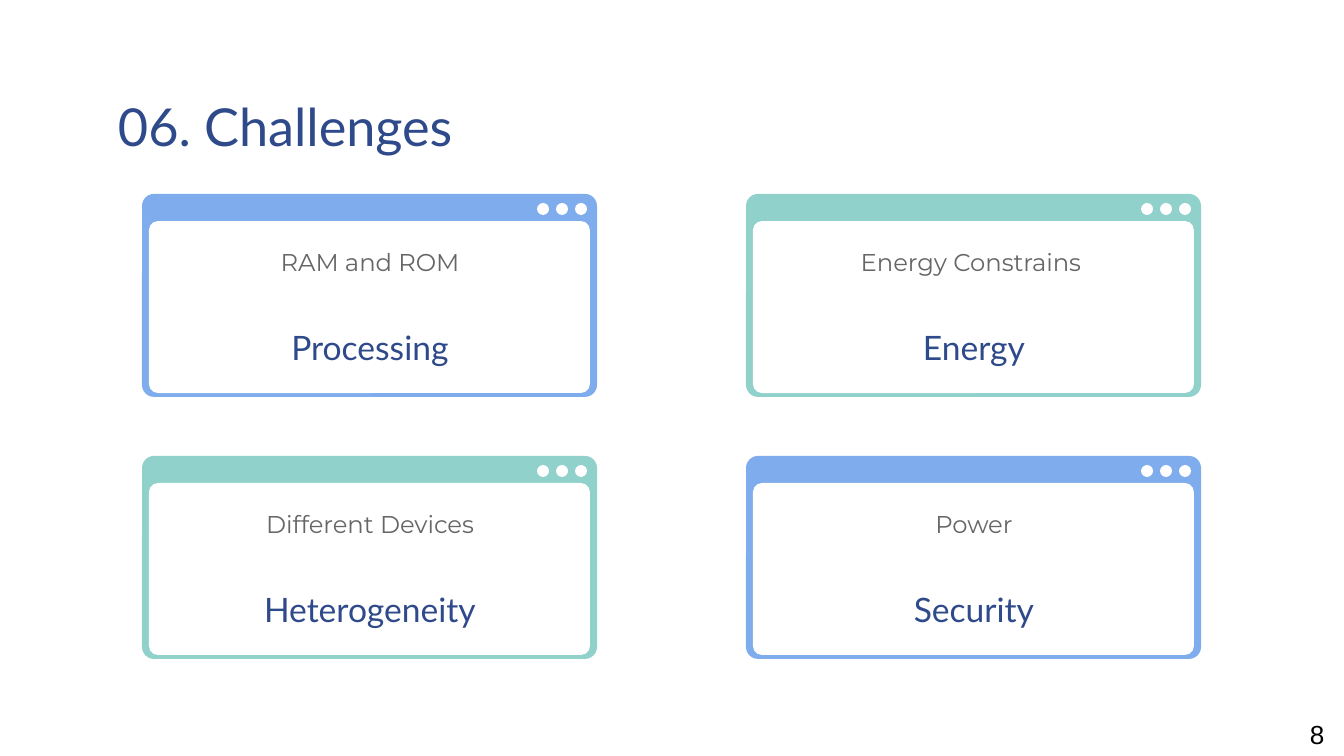
from pptx import Presentation
from pptx.dml.color import RGBColor
from pptx.enum.shapes import MSO_SHAPE
from pptx.enum.text import MSO_ANCHOR, PP_ALIGN
from pptx.util import Emu, Pt

EMU_PER_PX = 914400 / 134.4
BLUE = RGBColor(0x7E, 0xAC, 0xEC)
TEAL = RGBColor(0x90, 0xD1, 0xCB)
NAVY = RGBColor(0x2F, 0x4A, 0x8A)
GRAY = RGBColor(0x66, 0x66, 0x66)
BLACK = RGBColor(0, 0, 0)
WHITE = RGBColor(255, 255, 255)

CHALLENGES = [
    ("RAM and ROM", "Processing", BLUE),
    ("Energy Constrains ", "Energy", TEAL),
    ("Different Devices", "Heterogeneity", TEAL),
    ("Power", "Security", BLUE),
]


def px(length):
    return Emu(round(length * EMU_PER_PX))


def add_text(slide, text, box, *, font, size, color,
             align=PP_ALIGN.LEFT, inset=13, space_after=0):
    shape = slide.shapes.add_textbox(*map(px, box))
    frame = shape.text_frame
    frame.word_wrap = True
    frame.vertical_anchor = MSO_ANCHOR.TOP
    frame.margin_left = frame.margin_right = px(13)
    frame.margin_top = frame.margin_bottom = px(inset)
    paragraph = frame.paragraphs[0]
    paragraph.alignment = align
    paragraph.space_after = Pt(space_after)
    run = paragraph.add_run()
    run.text = text
    run.font.name = font
    run.font.size = Pt(size)
    run.font.color.rgb = color


def add_filled(shapes, preset, box, color, radius=None):
    shape = shapes.add_shape(preset, *map(px, box))
    shape.shadow.inherit = False
    shape.fill.solid()
    shape.fill.fore_color.rgb = color
    shape.line.fill.background()
    if radius is not None:
        shape.adjustments[0] = radius / min(box[2:])


def add_window(slide, box, color):
    left, top, width, height = box
    shapes = slide.shapes.add_group_shape().shapes
    add_filled(shapes, MSO_SHAPE.ROUNDED_RECTANGLE, box, color, radius=12)
    pane = (left + 7, top + 27, width - 14, height - 31)
    add_filled(shapes, MSO_SHAPE.ROUNDED_RECTANGLE, pane, WHITE, radius=9)
    for index in range(3):
        dot = (left + width - 60 + index * 19, top + 9, 12, 12)
        add_filled(shapes, MSO_SHAPE.OVAL, dot, WHITE)


def add_challenge(slide, box, detail, name, color):
    left, top, width, height = box
    add_window(slide, box, color)
    text_left, text_width = left + 61, width - 121
    add_text(slide, name, (text_left, top + 120, text_width, 68),
             font="Lato", size=18, color=NAVY, align=PP_ALIGN.CENTER)
    add_text(slide, detail, (text_left, top + 40, text_width, 111),
             font="Montserrat", size=13, color=GRAY,
             align=PP_ALIGN.CENTER, space_after=12)


def add_challenge_grid(slide, box):
    left, top, width, height = box
    card_width, card_height = 455, 203
    for index, challenge in enumerate(CHALLENGES):
        row, column = divmod(index, 2)
        card = (left + column * (width - card_width),
                top + row * (height - card_height), card_width, card_height)
        add_challenge(slide, card, *challenge)


def main():
    presentation = Presentation()
    presentation.slide_width = px(1344)
    presentation.slide_height = px(756)
    slide = presentation.slides.add_slide(presentation.slide_layouts[6])
    add_text(slide, "06. Challenges", (105, 81, 1134, 68),
             font="Lato", size=28, color=NAVY)
    add_challenge_grid(slide, (142, 194, 1059, 465))
    add_text(slide, "8", (1297, 711, 47, 45),
             font="Arial", size=14, color=BLACK, inset=7)
    presentation.save("out.pptx")


if __name__ == "__main__":
    main()
